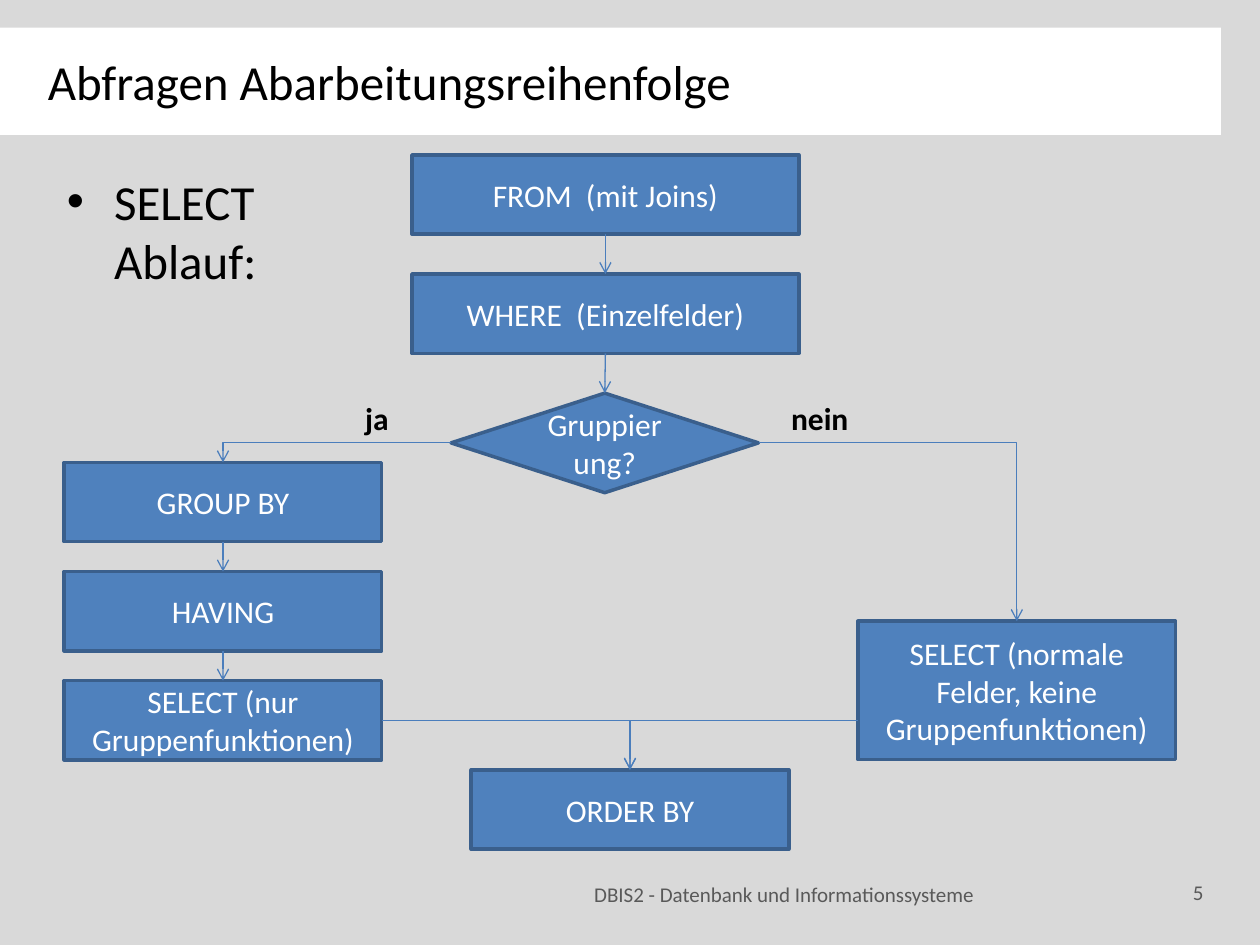
from dataclasses import dataclass

from lxml import etree
from pptx import Presentation, util as u
from pptx.dml.color import RGBColor
from pptx.enum import shapes, text
from pptx.oxml.ns import qn

GEO = shapes.MSO_SHAPE
LINK = shapes.MSO_CONNECTOR
MID = text.MSO_ANCHOR.MIDDLE
LEFT, CENTER, RIGHT = text.PP_ALIGN.LEFT, text.PP_ALIGN.CENTER, text.PP_ALIGN.RIGHT
TOP, WEST, BASE, EAST = range(4)


@dataclass(frozen=True)
class Theme:
    font: str = "Calibri"
    back: str = "D9D9D9"
    band: str = "FFFFFF"
    ink: str = "000000"
    pale: str = "FFFFFF"
    gray: str = "595959"
    fill: str = "4F81BD"
    edge: str = "3A5F8C"
    wire: str = "4B7EBC"
    head: float = 28
    node: float = 18
    foot: float = 12


class Chart:
    cols, rows = 100, 75

    def __init__(self, deck, theme):
        self.theme = theme
        self.wide, self.high = deck.slide_width, deck.slide_height
        self.slide = deck.slides.add_slide(deck.slide_layouts[1])
        self.paint(self.slide.background, theme.back)

    def x(self, col):
        return u.Emu(round(self.wide * col / self.cols))

    def y(self, row):
        return u.Emu(round(self.high * row / self.rows))

    def area(self, col, row, wide, high):
        return self.x(col), self.y(row), self.x(wide), self.y(high)

    def paint(self, item, color):
        item.fill.solid()
        item.fill.fore_color.rgb = RGBColor.from_string(color)

    def letter(self, shape, words, size, color, align=LEFT, bold=False):
        frame = shape.text_frame
        frame.text = words
        for para in frame.paragraphs:
            para.alignment = align
            for run in para.runs:
                font = run.font
                font.name, font.size, font.bold = self.theme.font, u.Pt(size), bold
                font.color.rgb = RGBColor.from_string(color)
        return frame

    def place(self, shape, area):
        shape.left, shape.top, shape.width, shape.height = self.area(*area)

    def title(self, words, area):
        shape = self.slide.shapes.title
        self.place(shape, area)
        self.paint(shape, self.theme.band)
        frame = self.letter(shape, words, self.theme.head, self.theme.ink)
        frame.vertical_anchor = MID
        frame.margin_left = self.x(4)

    def body(self, words, area):
        shape = self.slide.placeholders[1]
        self.place(shape, area)
        frame = self.letter(shape, words, self.theme.head, self.theme.ink)
        frame.auto_size = text.MSO_AUTO_SIZE.NONE

    def node(self, words, area, kind=GEO.RECTANGLE):
        shape = self.slide.shapes.add_shape(kind, *self.area(*area))
        shape.shadow.inherit = False
        self.paint(shape, self.theme.fill)
        shape.line.color.rgb = RGBColor.from_string(self.theme.edge)
        shape.line.width = u.Pt(2)
        frame = self.letter(shape, words, self.theme.node, self.theme.pale, CENTER)
        frame.vertical_anchor = MID
        frame.word_wrap = True
        return shape

    def label(self, words, area):
        shape = self.slide.shapes.add_textbox(*self.area(*area))
        self.letter(shape, words, self.theme.node, self.theme.ink, bold=True)
        shape.text_frame.word_wrap = False

    def footer(self, words, area):
        shape = self.slide.shapes.add_textbox(*self.area(*area))
        frame = self.letter(shape, words, self.theme.foot, self.theme.gray, RIGHT)
        frame.vertical_anchor = MID
        frame.word_wrap = True

    def spot(self, shape, site):
        mid = shape.left + shape.width // 2, shape.top + shape.height // 2
        return {
            TOP: (mid[0], shape.top),
            WEST: (shape.left, mid[1]),
            BASE: (mid[0], shape.top + shape.height),
            EAST: (shape.left + shape.width, mid[1]),
        }[site]

    def arrow(self, start, end, site=BASE, row=None):
        bent = site != BASE
        here, there = self.spot(start, site), self.spot(end, TOP)
        if row is not None:
            here = here[0], self.y(row)
        kind = LINK.ELBOW if bent else LINK.STRAIGHT
        link = self.slide.shapes.add_connector(kind, *here, *there)
        if row is None:
            link.begin_connect(start, site)
        link.end_connect(end, TOP)
        link.line.color.rgb = RGBColor.from_string(self.theme.wire)
        link.line.width = u.Pt(0.75)
        props = link._element.spPr
        if bent:
            props.find(qn("a:prstGeom")).set("prst", "bentConnector2")
        etree.SubElement(props.find(qn("a:ln")), qn("a:tailEnd"), type="arrow")
        etree.SubElement(props, qn("a:effectLst"))


def main():
    deck = Presentation()
    deck.slide_width, deck.slide_height = u.Inches(10), u.Inches(7.5)
    flow = Chart(deck, Theme())
    flow.title("Abfragen Abarbeitungsreihenfolge", (-0.2, 2.2, 97.1, 8.5))
    flow.body("SELECT\vAblauf:", (4.3, 13.1, 92.1, 52.3))
    flow.footer("DBIS2 - Datenbank und Informationssysteme", (43.7, 69, 34.6, 4))
    flow.footer("5", (90.6, 68.8, 5.9, 4))

    tall, wide, slim = 6.3, 30.7, 25.2
    heads = [
        flow.node(words, (32.7, 12.3 + 9.45 * i, wide, tall))
        for i, words in enumerate(("FROM  (mit Joins)", "WHERE  (Einzelfelder)"))
    ]
    test = flow.node("Gruppierung?", (35.8, 31.2, 24.4, 7.9), GEO.FLOWCHART_DECISION)
    steps = ("GROUP BY", "HAVING", "SELECT (nur Gruppenfunktionen)")
    group = [
        flow.node(words, (5.1, 36.7 + 8.66 * i, slim, tall))
        for i, words in enumerate(steps)
    ]
    plain = flow.node(
        "SELECT (normale Felder, keine Gruppenfunktionen)", (68.1, 49.3, slim, 11)
    )
    order = flow.node("ORDER BY", (37.4, 61.1, slim, tall))

    flow.label("ja", (28, 31.2, 3.9, 4))
    flow.label("nein", (61.8, 31.2, 7.1, 4))

    for chain in (heads + [test], group):
        for start, end in zip(chain, chain[1:]):
            flow.arrow(start, end)
    flow.arrow(test, group[0], WEST)
    flow.arrow(test, plain, EAST)
    flow.arrow(group[-1], order, EAST)
    flow.arrow(plain, order, WEST, row=57.2)

    deck.save("out.pptx")


if __name__ == "__main__":
    main()
